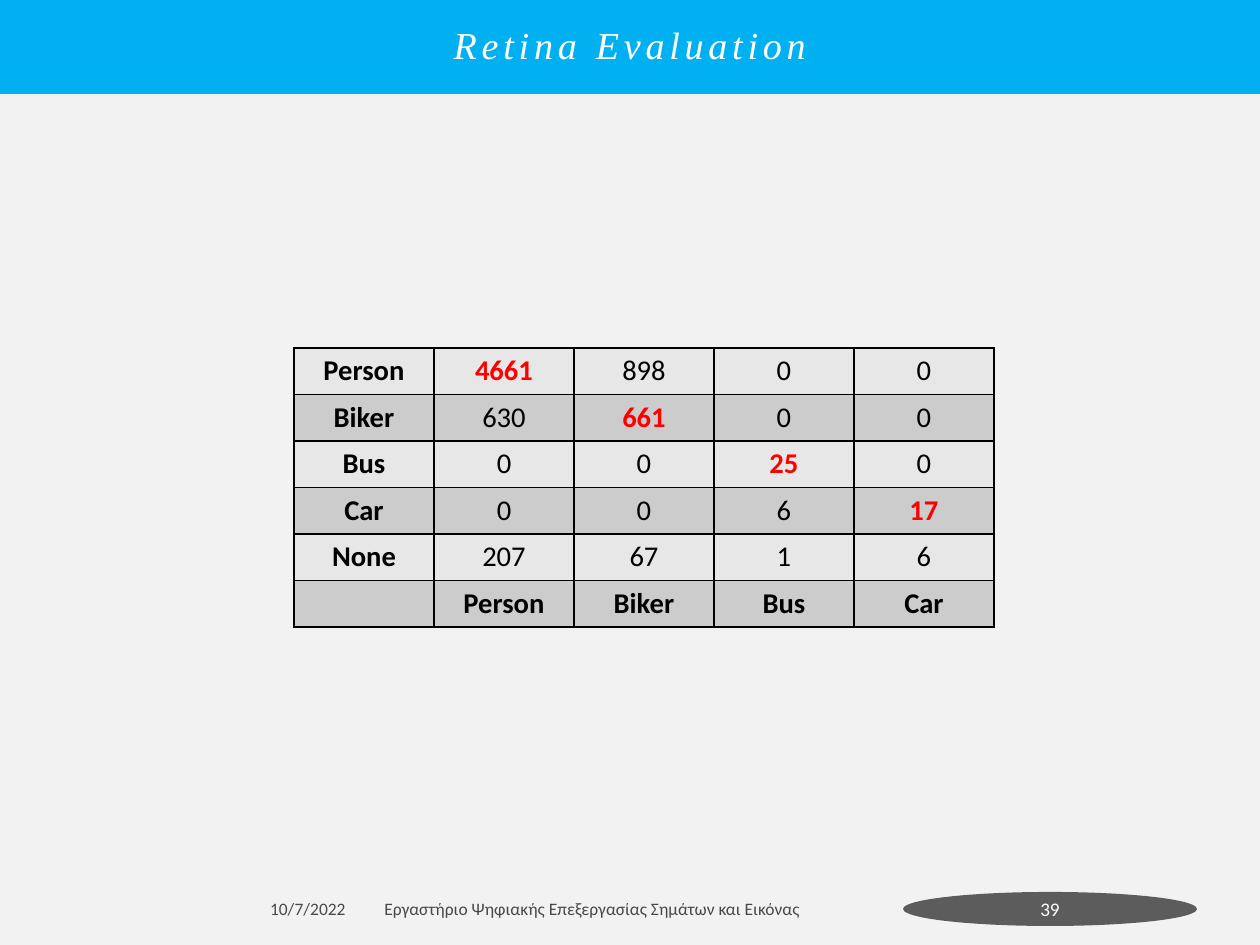
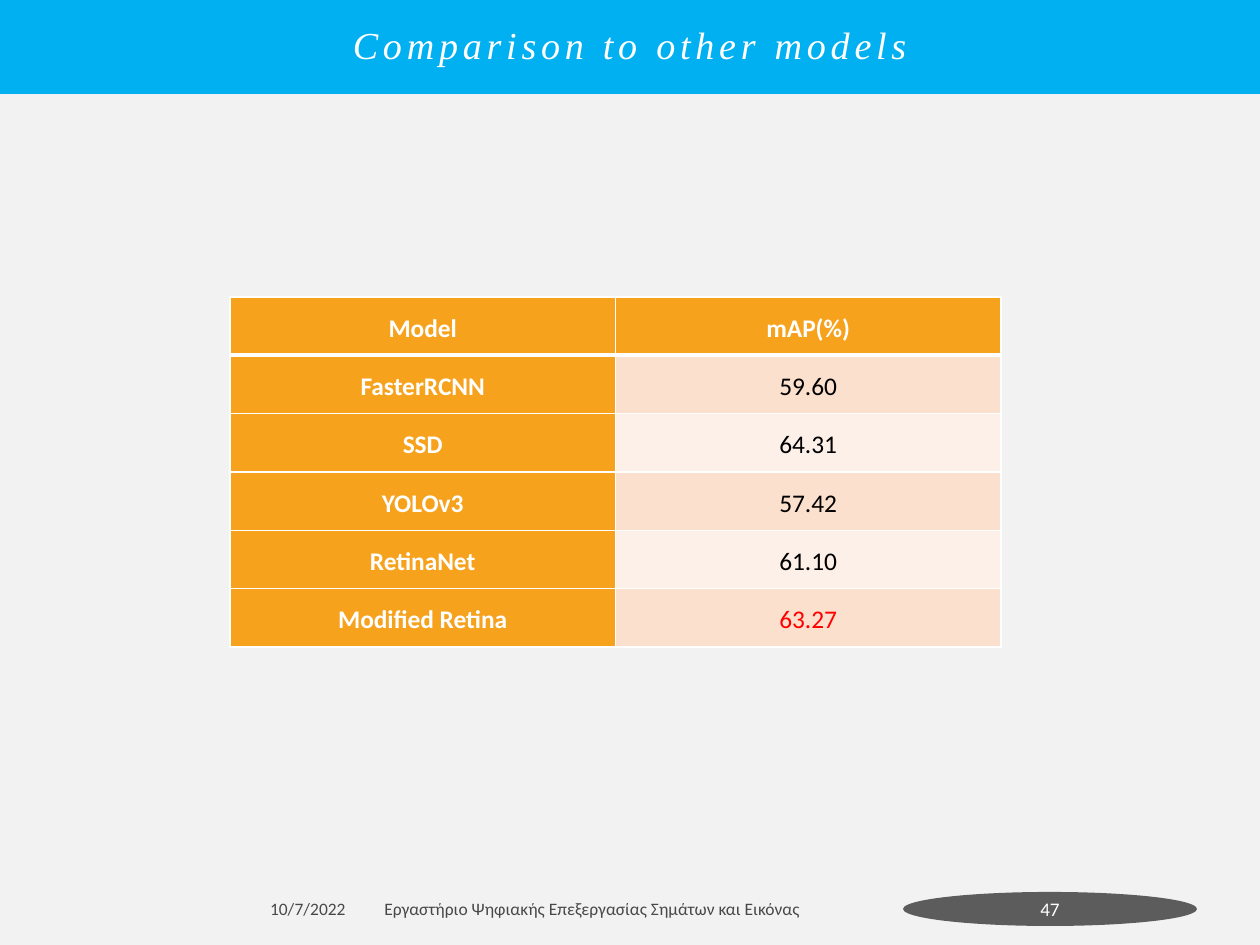
from dataclasses import dataclass

from lxml.etree import SubElement
from pptx import Presentation
from pptx.dml.color import RGBColor as RGB
from pptx.enum.shapes import MSO_SHAPE as Shape
from pptx.enum.text import MSO_ANCHOR as Anchor, PP_ALIGN as Align
from pptx.oxml.ns import qn
from pptx.util import Emu, Pt

PX = 8000


@dataclass(frozen=True)
class Theme:
    background: str = "F2F2F2"
    band: str = "00B0F0"
    badge: str = "1D1D1D"
    black: str = "000000"
    white: str = "FFFFFF"
    highlight: str = "FF0000"
    header: str = "F6A21D"
    grey_rows: tuple = ("E7E7E7", "CCCCCC")
    peach_rows: tuple = ("FDF0E8", "FBE0CD")
    body_font: str = "Calibri"
    title_font: str = "Times New Roman"
    title_size: float = 24
    matrix_size: float = 18
    model_size: float = 16
    footer_size: float = 11
    number_size: float = 12.1
    footer_alpha: str = "70000"


theme = Theme()


def write(paragraph, text, size, colour, align=Align.CENTER, bold=False, name=theme.body_font):
    paragraph.text = text
    paragraph.alignment = align
    font = paragraph.font
    font.name, font.size, font.bold = name, Pt(size), bold
    font.color.rgb = RGB.from_string(colour)


def paint_cell(cell, fill, border, bottom_width=1, top_width=1):
    cell.fill.solid()
    cell.fill.fore_color.rgb = RGB.from_string(fill)
    properties = cell._tc.get_or_add_tcPr()
    widths = {"lnL": 1, "lnR": 1, "lnT": top_width, "lnB": bottom_width}
    for position, (side, width) in enumerate(widths.items()):
        line = SubElement(properties, qn(f"a:{side}"), w=str(Pt(width)))
        SubElement(SubElement(line, qn("a:solidFill")), qn("a:srgbClr"), val=border)
        properties.insert(position, line)


presentation = Presentation()
presentation.slide_width, presentation.slide_height = Emu(1260 * PX), Emu(945 * PX)
master_fill = presentation.slide_master.background.fill
master_fill.solid()
master_fill.fore_color.rgb = RGB.from_string(theme.background)

footers = [
    (63, 294, "10/7/2022", Align.RIGHT),
    (373, 543, "Εργαστήριο Ψηφιακής Επεξεργασίας Σηµάτων και Εικόνας", Align.LEFT),
]
slides = []
for title, number in [("Retina Evaluation", "39"), ("Comparison to other models", "47")]:
    slide = presentation.slides.add_slide(presentation.slide_layouts[6])
    slides.append(slide)

    for left, width, text, align in footers:
        footer = slide.shapes.add_textbox(left * PX, 892 * PX, width * PX, 34 * PX)
        footer.text_frame.word_wrap = True
        footer.text_frame.vertical_anchor = Anchor.MIDDLE
        write(footer.text_frame.paragraphs[0], text, theme.footer_size, theme.black, align)
        colour = footer.element.find(".//" + qn("a:srgbClr"))
        SubElement(colour, qn("a:alpha"), val=theme.footer_alpha)

    badge = slide.shapes.add_shape(Shape.OVAL, 903 * PX, 892 * PX, 294 * PX, 34 * PX)
    band = slide.shapes.add_shape(Shape.RECTANGLE, 0, 0, 1260 * PX, 94 * PX)
    for shape, fill, inset in [(badge, theme.badge, 2), (band, theme.band, 0)]:
        shape.shadow.inherit = False
        shape.fill.solid()
        shape.fill.fore_color.rgb = RGB.from_string(fill)
        shape.line.fill.background()
        frame = shape.text_frame
        frame.vertical_anchor = Anchor.MIDDLE
        frame.margin_left = frame.margin_right = inset * PX
    band.text_frame.margin_top = band.text_frame.margin_bottom = 0
    SubElement(badge.element.find(".//" + qn("a:srgbClr")), qn("a:alpha"), val=theme.footer_alpha)
    write(badge.text_frame.paragraphs[0], number, theme.number_size, theme.white)

    heading = band.text_frame.paragraphs[0]
    write(heading, title, theme.title_size, theme.white, name=theme.title_font)
    heading.font.italic = True
    heading.line_spacing = 0.93
    band.element.find(".//" + qn("a:defRPr")).set("spc", "300")

confusion_rows = [
    ("Person", "4661", "898", "0", "0"),
    ("Biker", "630", "661", "0", "0"),
    ("Bus", "0", "0", "25", "0"),
    ("Car", "0", "0", "6", "17"),
    ("None", "207", "67", "1", "6"),
    ("", "Person", "Biker", "Bus", "Car"),
]
model_rows = [
    ("Model", "mAP(%)"),
    ("FasterRCNN", "59.60"),
    ("SSD", "64.31"),
    ("YOLOv3", "57.42"),
    ("RetinaNet", "61.10"),
    ("Modified Retina", "63.27"),
]
tables = []
for slide, rows, left, top, width, height in [
    (slides[0], confusion_rows, 294, 348, 700, 279),
    (slides[1], model_rows, 230, 297, 771, 350),
]:
    frame = slide.shapes.add_table(
        len(rows), len(rows[0]), left * PX, top * PX, width * PX, height * PX)
    table = frame.table
    table.first_row = table.horz_banding = False
    tables.append(table)
confusion, models = tables

for row, values in enumerate(confusion_rows):
    for column, text in enumerate(values):
        cell = confusion.cell(row, column)
        paint_cell(cell, theme.grey_rows[row % 2], theme.black)
        is_label = column == 0 or row == len(confusion_rows) - 1
        is_match = column == row + 1 and not is_label
        write(cell.text_frame.paragraphs[0], text, theme.matrix_size,
              theme.highlight if is_match else theme.black, bold=is_label or is_match)

for row, values in enumerate(model_rows):
    for column, text in enumerate(values):
        cell = models.cell(row, column)
        is_label = row == 0 or column == 0
        is_best = row == len(model_rows) - 1
        paint_cell(cell, theme.header if is_label else theme.peach_rows[row % 2], theme.white,
                   bottom_width=3 if row == 0 else 1, top_width=3 if row == 1 else 1)
        cell.vertical_anchor = Anchor.MIDDLE
        cell.margin_left = cell.margin_right = 8 * PX
        cell.margin_top = cell.margin_bottom = 0
        colour = theme.white if is_label else theme.highlight if is_best else theme.black
        paragraph = cell.text_frame.paragraphs[0]
        write(paragraph, text, theme.model_size, colour, bold=is_label)
        paragraph.line_spacing = 1.15
        paragraph.space_after = Pt(10)

presentation.save("out.pptx")
